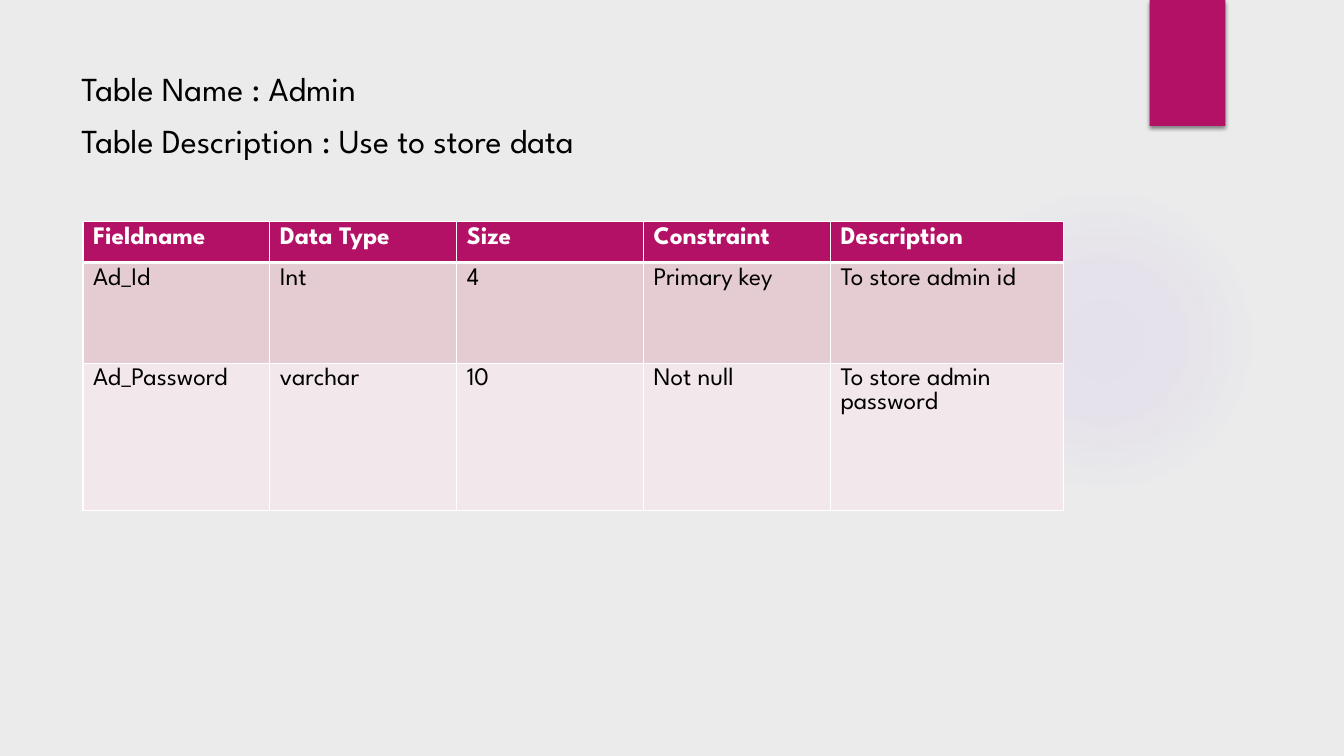
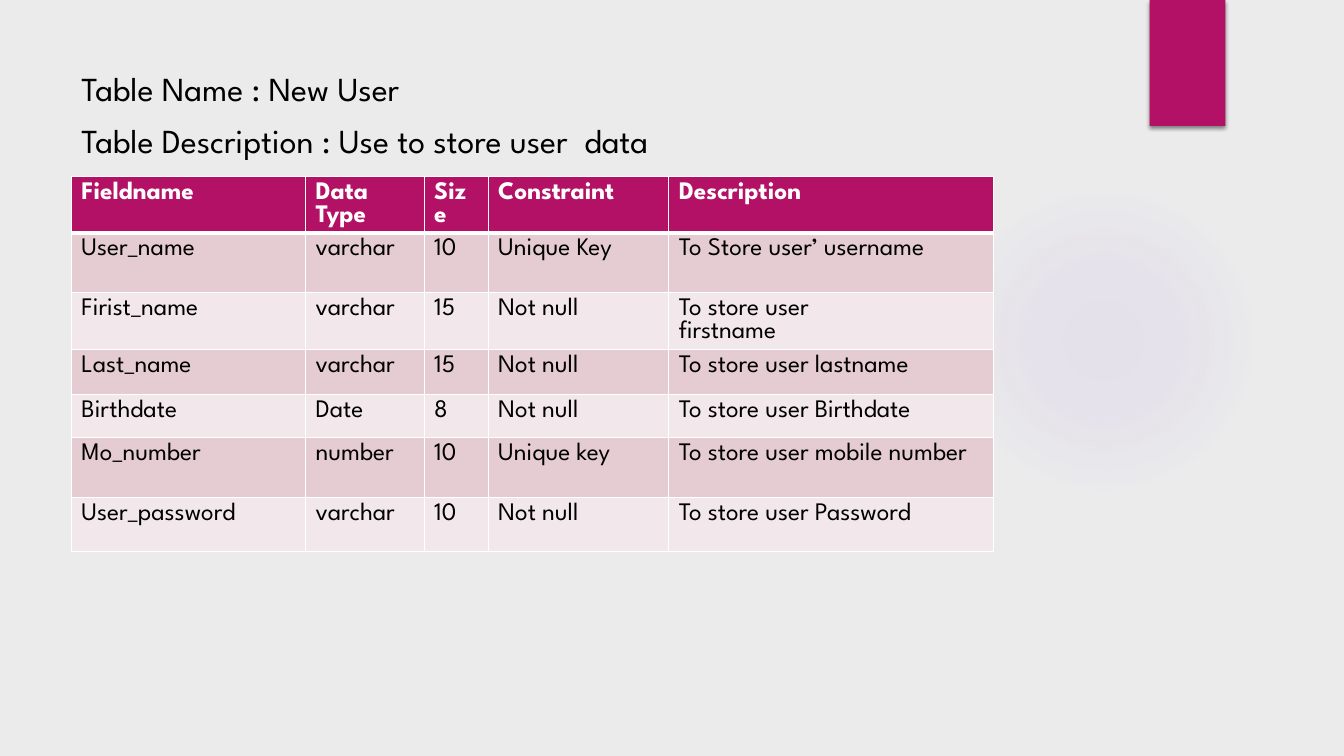
from dataclasses import dataclass

from lxml.etree import SubElement
from pptx import Presentation
from pptx.dml.color import RGBColor
from pptx.enum.shapes import MSO_SHAPE
from pptx.enum.text import MSO_ANCHOR, PP_ALIGN
from pptx.oxml import parse_xml
from pptx.oxml.ns import nsdecls, qn
from pptx.util import Emu, Pt

PX = 9525  # EMU in one px, 96 px to the inch


@dataclass(frozen=True)
class Theme:
    font: str = "League Spartan"
    title_size: int = 24
    table_size: int = 18
    title_spacing: float = 1.3
    background: str = "EBEBEB"
    accent: str = "B31166"
    glow: str = "9B6BF2"
    text: str = "000000"
    light: str = "FFFFFF"
    bands: tuple = ("E5CCD3", "F2E7EA")
    border: int = 1
    header_border: int = 3


def px(*lengths):
    return [Emu(length * PX) for length in lengths]


def rgb(colour):
    return RGBColor.from_string(colour)


class SchemaDeck:
    def __init__(self, theme):
        self.theme = theme
        self.deck = Presentation()
        self.deck.slide_width, self.deck.slide_height = px(1280, 720)
        self.page = None

    def add_page(self):
        first = self.page is None
        self.page = self.deck.slides.add_slide(self.deck.slide_layouts[5])
        if first:
            self.dress_master()

    # Background, glow and ribbon, shared through the slide master
    def dress_master(self):
        master = self.deck.slide_master
        master.background.fill.solid()
        master.background.fill.fore_color.rgb = rgb(self.theme.background)
        glow = self.shape(MSO_SHAPE.OVAL, 903, 176, 296, 296)
        self.fade(glow)
        ribbon = self.shape(MSO_SHAPE.RECTANGLE, 1095, 0, 72, 120)
        self.drop_shadow(ribbon)
        for position, shape in enumerate((glow, ribbon), start=2):
            master.shapes.element.insert(position, shape.element)

    def shape(self, kind, *place):
        shape = self.page.shapes.add_shape(kind, *px(*place))
        shape.shadow.inherit = False
        shape.fill.solid()
        shape.fill.fore_color.rgb = rgb(self.theme.accent)
        shape.line.fill.background()
        return shape

    def fade(self, shape):
        stops = "".join(
            f'<a:gs pos="{place * 1000}"><a:srgbClr val="{self.theme.glow}">'
            f'<a:alpha val="{alpha * 1000}"/></a:srgbClr></a:gs>'
            for place, alpha in ((0, 7), (36, 6), (69, 0)))
        gradient = parse_xml(
            f'<a:gradFill {nsdecls("a")}><a:gsLst>{stops}</a:gsLst><a:path path="circle">'
            '<a:fillToRect l="50000" t="50000" r="50000" b="50000"/></a:path></a:gradFill>')
        properties = shape.element.spPr
        properties.replace(properties.find(qn("a:solidFill")), gradient)

    def drop_shadow(self, shape):
        effects = shape.element.spPr.find(qn("a:effectLst"))
        shadow = SubElement(effects, qn("a:outerShdw"), blurRad=str(Pt(3)),
                            dist=str(Pt(2)), dir="5400000", rotWithShape="0")
        colour = SubElement(shadow, qn("a:srgbClr"), val=self.theme.text)
        SubElement(colour, qn("a:alpha"), val="45000")

    def format_text(self, frame, size, colour, bold=False):
        for para in frame.paragraphs:
            para.alignment = PP_ALIGN.LEFT
            for span in para.runs:
                span.font.name = self.theme.font
                span.font.size = Pt(size)
                span.font.bold = bold
                span.font.color.rgb = rgb(colour)

    # Title of two lines
    def title(self, name, description):
        box = self.page.shapes.title
        box.left, box.top, box.width, box.height = px(68, 48, 988, 100)
        frame = box.text_frame
        frame.text = f"Table Name : {name}\vTable Description : {description}"
        frame.vertical_anchor = MSO_ANCHOR.TOP
        frame.paragraphs[0].line_spacing = self.theme.title_spacing
        self.format_text(frame, self.theme.title_size, self.theme.text)

    # Table with a header row and banded rows
    def table(self, left, top, widths, heights, rows):
        table = self.page.shapes.add_table(
            len(rows), len(widths), *px(left, top, sum(widths), sum(heights))).table
        table.horz_banding = False
        for column, width in zip(table.columns, px(*widths)):
            column.width = width
        for row, height in zip(table.rows, px(*heights)):
            row.height = height
        for row_number, row in enumerate(rows):
            for column_number, text in enumerate(row):
                self.fill_cell(table.cell(row_number, column_number), text, row_number)

    def fill_cell(self, cell, text, row_number):
        theme = self.theme
        header = row_number == 0
        cell.text = text
        self.format_text(cell.text_frame, theme.table_size,
                         theme.light if header else theme.text, header)
        self.cell_borders(cell, top=theme.header_border if row_number == 1 else theme.border,
                          bottom=theme.header_border if header else theme.border)
        cell.fill.solid()
        cell.fill.fore_color.rgb = rgb(
            theme.accent if header else theme.bands[(row_number - 1) % 2])

    def cell_borders(self, cell, top, bottom):
        side = self.theme.border
        properties = cell._tc.get_or_add_tcPr()
        for tag, width in (("lnL", side), ("lnR", side), ("lnT", top), ("lnB", bottom)):
            line = SubElement(properties, qn(f"a:{tag}"), w=str(Pt(width)))
            fill = SubElement(line, qn("a:solidFill"))
            SubElement(fill, qn("a:srgbClr"), val=self.theme.light)


HEADER = ("Fieldname", "Data Type", "Size", "Constraint", "Description")


def main():
    schema = SchemaDeck(Theme())

    # Admin table
    schema.add_page()
    schema.title("Admin", "Use to store data")
    schema.table(79, 211, [178, 178, 178, 178, 222], [39, 96, 140], [
        HEADER,
        ("Ad_Id", "Int", "4", "Primary key", "To store admin id"),
        ("Ad_Password", "varchar", "10", "Not null", "To store admin password"),
    ])

    # New user table
    schema.add_page()
    schema.title("New User", "Use to store user  data")
    schema.table(68, 168, [223, 113, 61, 172, 309], [39, 57, 40, 43, 41, 57, 52], [
        HEADER,
        ("User_name", "varchar", "10", "Unique Key", "To Store user’ username"),
        ("Firist_name", "varchar", "15", "Not null", "To store user\nfirstname"),
        ("Last_name", "varchar", "15", "Not null", "To store user lastname"),
        ("Birthdate", "Date", "8", "Not null", "To store user Birthdate"),
        ("Mo_number", "number", "10", "Unique key", "To store user mobile number"),
        ("User_password", "varchar", "10", "Not null", "To store user Password"),
    ])

    schema.deck.save("out.pptx")


if __name__ == "__main__":
    main()
